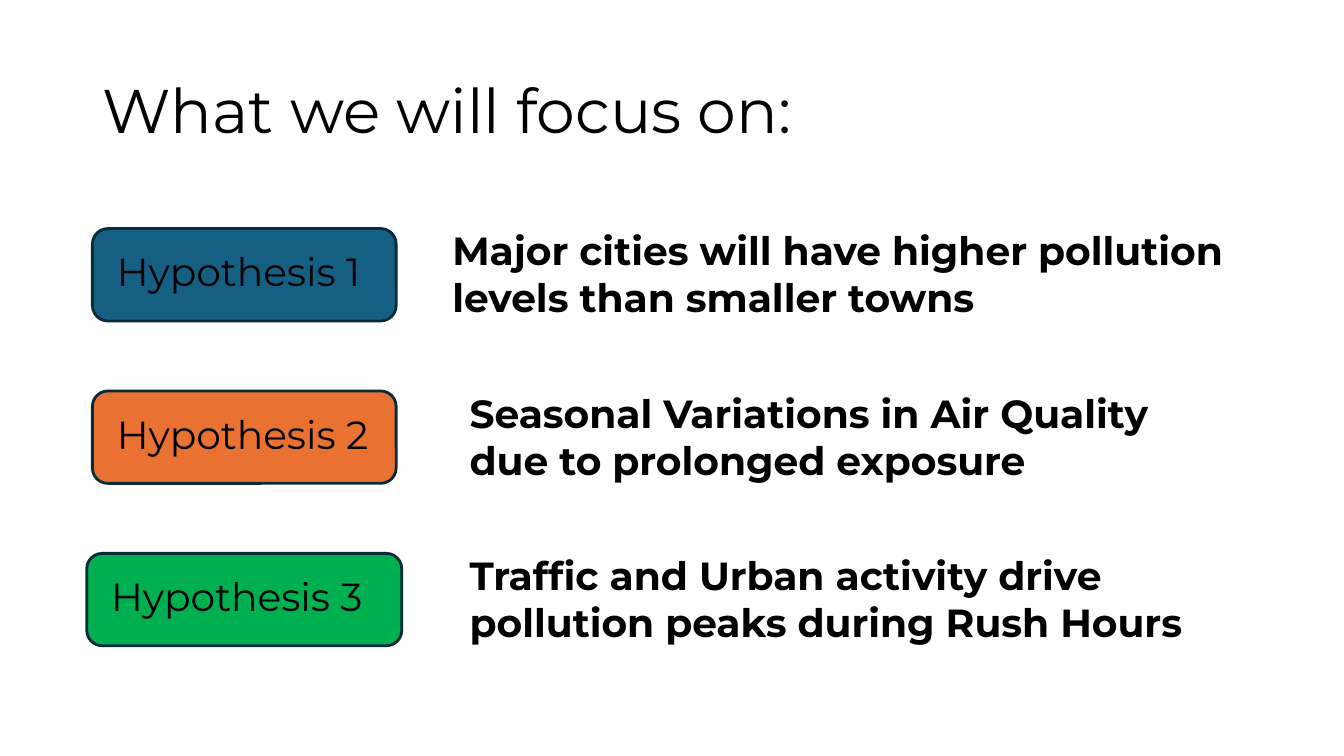
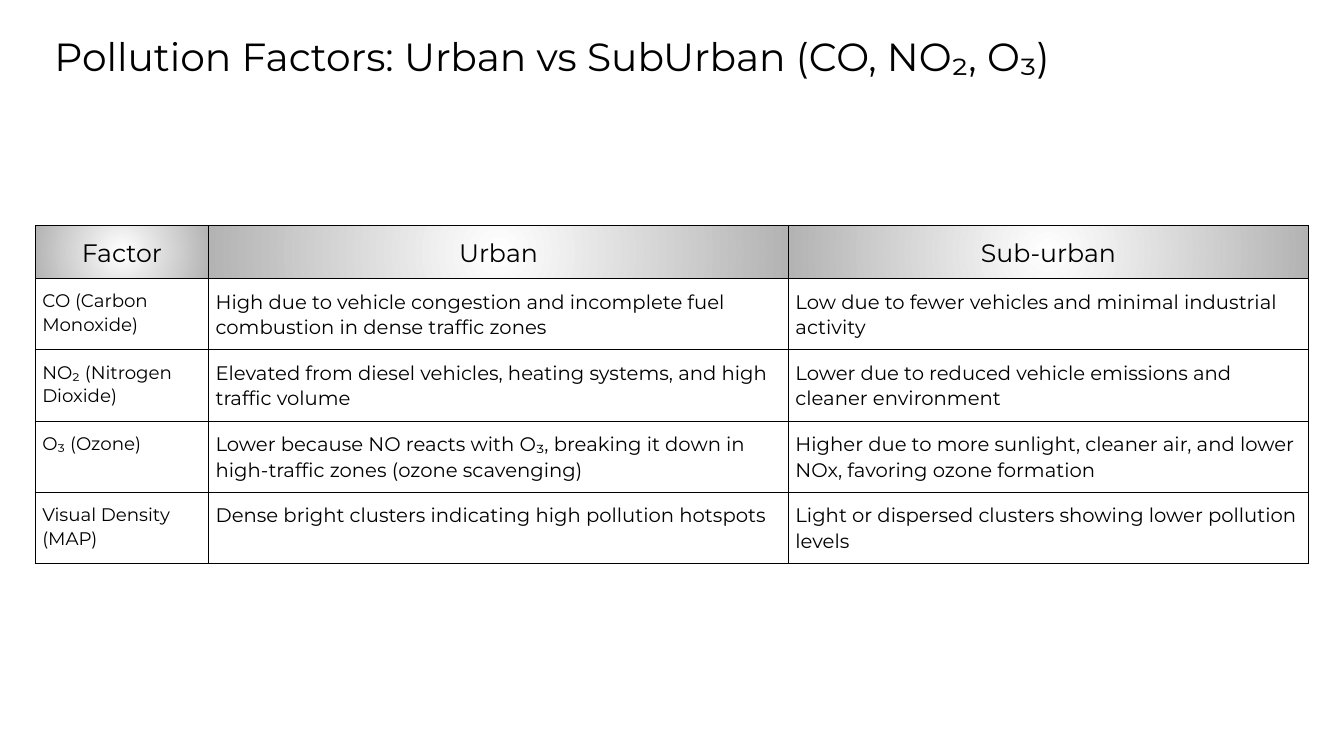
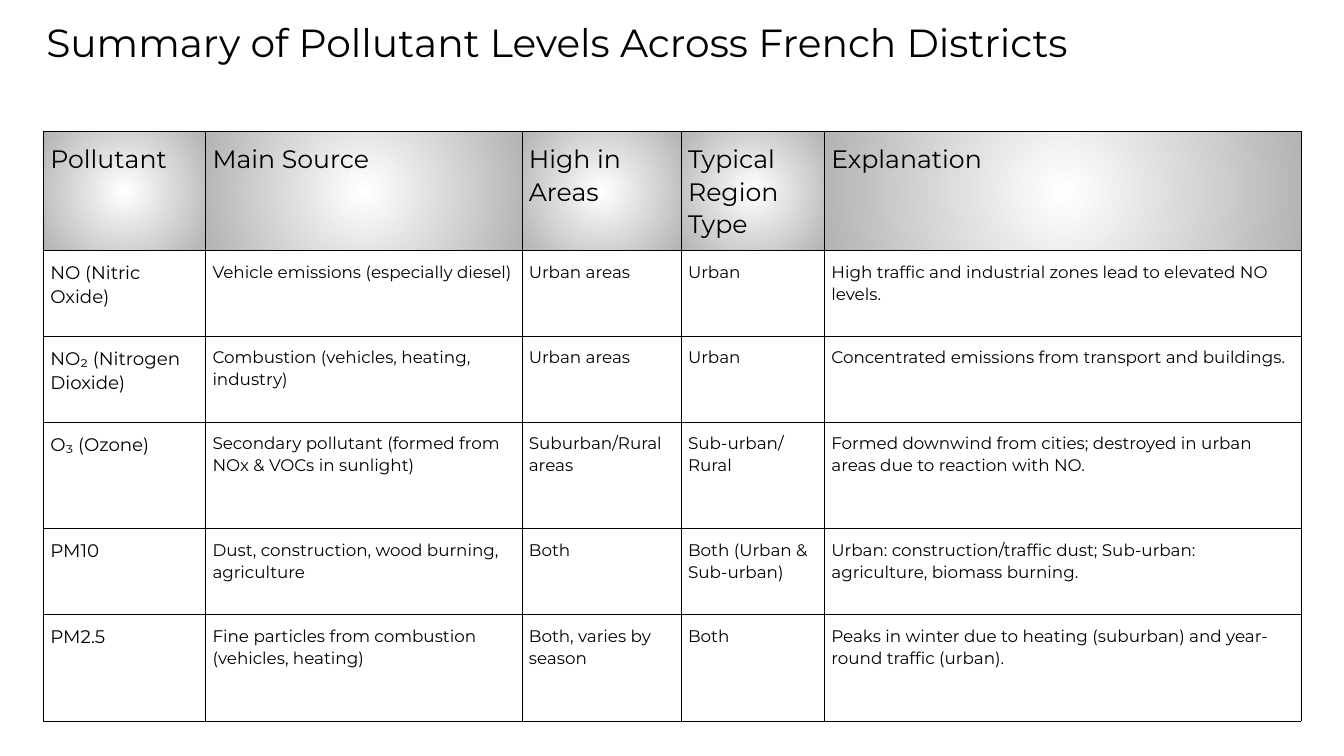
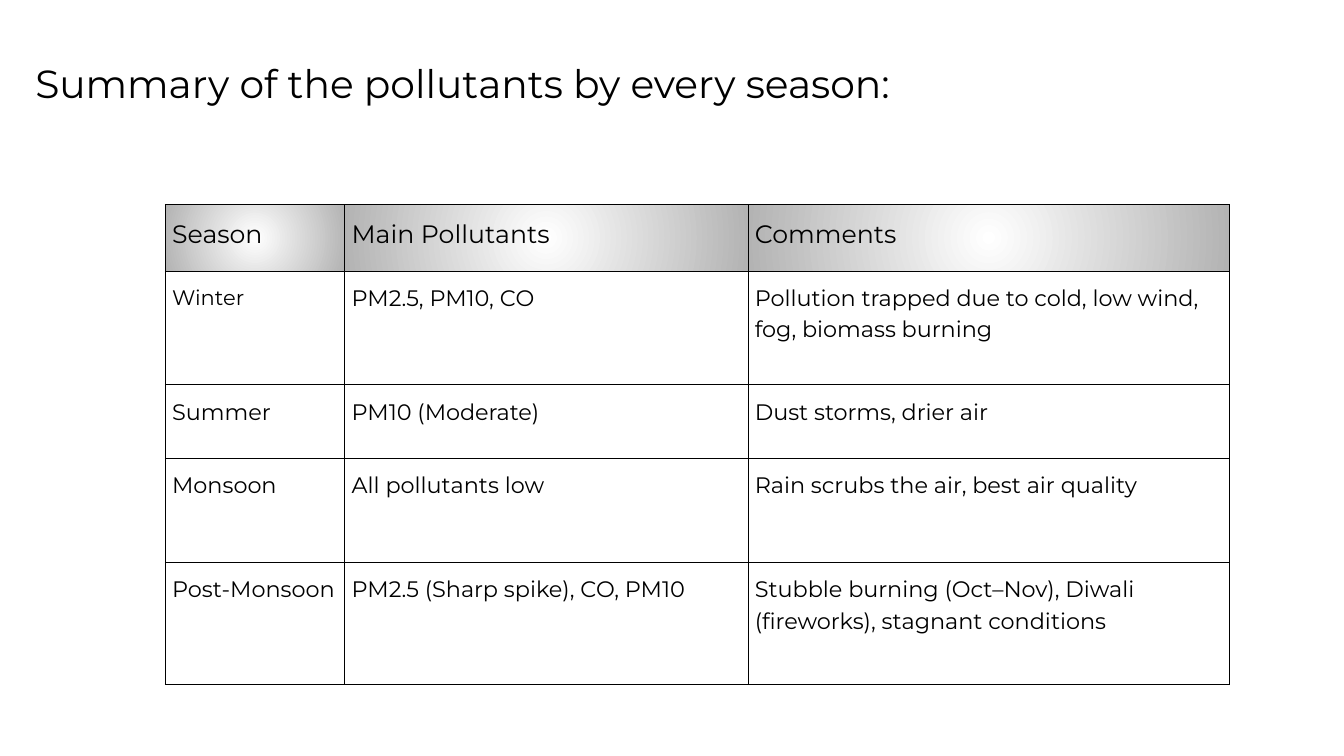
from pptx import Presentation
from pptx.dml.color import RGBColor
from pptx.enum.shapes import MSO_SHAPE
from pptx.enum.text import MSO_ANCHOR, MSO_AUTO_SIZE, PP_ALIGN
from pptx.oxml import parse_xml
from pptx.oxml.ns import nsdecls
from pptx.util import Pt

ROUNDED = MSO_SHAPE.ROUNDED_RECTANGLE
TOP, MIDDLE = MSO_ANCHOR.TOP, MSO_ANCHOR.MIDDLE
LEFT, CENTER = PP_ALIGN.LEFT, PP_ALIGN.CENTER
NO_AUTOFIT = MSO_AUTO_SIZE.NONE

FONT = "Montserrat"
COLORS = {
    "text": "000000",
    "outline": "092A39",
    "blue": "156082",
    "orange": "E97132",
    "green": "00B050",
    "header_center": "FFFFFF",
    "header_edge": "B3B3B3",
}

BORDERS = [
    f'<a:{side} {nsdecls("a")} w="7620"><a:solidFill>'
    f'<a:srgbClr val="{COLORS["text"]}"/></a:solidFill></a:{side}>'
    for side in ("lnL", "lnR", "lnT", "lnB")
]
HEADER_GRADIENT = (
    f'<a:gradFill {nsdecls("a")} rotWithShape="1"><a:gsLst>'
    f'<a:gs pos="0"><a:srgbClr val="{COLORS["header_center"]}"/></a:gs>'
    f'<a:gs pos="100000"><a:srgbClr val="{COLORS["header_edge"]}"/></a:gs>'
    '</a:gsLst><a:path path="circle">'
    '<a:fillToRect l="50000" t="50000" r="50000" b="50000"/></a:path></a:gradFill>'
)

prs = Presentation()
prs.slide_width, prs.slide_height = Pt(960), Pt(540)
title_only = prs.slide_layouts[5]


def write(frame, text, size, bold=False, align=LEFT, spacing=1.0):
    """Fill a text frame with one paragraph in the deck's font."""
    frame.word_wrap = True
    paragraph = frame.paragraphs[0]
    paragraph.text = text
    paragraph.alignment = align
    paragraph.line_spacing = spacing
    font = paragraph.font
    font.name, font.size, font.bold = FONT, Pt(size), bold
    font.color.rgb = RGBColor.from_string(COLORS["text"])


def add_grid(slide, left, top, widths, heights, rows, label_size, body_size,
             spacing, header_align=LEFT):
    """Add a ruled table with a shaded header row and a label column."""
    table = slide.shapes.add_table(
        len(rows), len(widths), Pt(left), Pt(top),
        Pt(sum(widths)), Pt(sum(heights))).table
    table.horz_banding = False
    for column, width in zip(table.columns, widths):
        column.width = Pt(width)
    for r, (row, height) in enumerate(zip(rows, heights)):
        table.rows[r].height = Pt(height)
        for c, text in enumerate(row):
            cell = table.cell(r, c)
            cell.margin_left = cell.margin_right = Pt(5)
            cell.margin_top = cell.margin_bottom = Pt(7.2)
            properties = cell._tc.get_or_add_tcPr()
            for border in BORDERS:
                properties.append(parse_xml(border))
            if r == 0:
                properties.append(parse_xml(HEADER_GRADIENT))
                size, align = 18, header_align
            else:
                cell.fill.background()
                size, align = (label_size if c == 0 else body_size), LEFT
            write(cell.text_frame, text, size, align=align, spacing=spacing)
    return table


# Titles: text, left, top, width, height, size, anchor, line spacing
titles = [
    ("What we will focus on:", 66, 28.8, 828, 104.4, 44, MIDDLE, 0.9),
    ("Pollution Factors: Urban vs SubUrban (CO, NO₂, O₃)",
     31.7, 0, 793, 79.2, 28, MIDDLE, 1.0),
    ("Summary of Pollutant Levels Across French Districts",
     25.9, 0, 877, 64, 28, MIDDLE, 0.9),
    ("Summary of the pollutants by every season:",
     18, 38.9, 924, 68, 28, TOP, 1.0),
]
slides = []
for text, left, top, width, height, size, anchor, spacing in titles:
    slide = prs.slides.add_slide(title_only)
    title = slide.shapes.title
    title.left, title.top = Pt(left), Pt(top)
    title.width, title.height = Pt(width), Pt(height)
    title.text_frame.auto_size = NO_AUTOFIT
    title.text_frame.vertical_anchor = anchor
    write(title.text_frame, text, size, spacing=spacing)
    slides.append(slide)
focus, factors, districts, seasons = slides

# Hypotheses: colour, label left and width, statement left and width, statement
hypotheses = [
    ("blue", 66, 217, 316, 608,
     "Major cities will have higher pollution levels than smaller towns"),
    ("orange", 66, 217, 328.4, 555,
     "Seasonal Variations in Air Quality due to prolonged exposure"),
    ("green", 62, 225, 328.4, 544,
     "Traffic and Urban activity drive pollution peaks during Rush Hours"),
]
for i, (color, left, width, statement_left, statement_width, text) in enumerate(hypotheses):
    top = 163.3 + 116 * i
    label = focus.shapes.add_shape(ROUNDED, Pt(left), Pt(top), Pt(width), Pt(66))
    label.shadow.inherit = False
    label.fill.solid()
    label.fill.fore_color.rgb = RGBColor.from_string(COLORS[color])
    label.line.color.rgb = RGBColor.from_string(COLORS["outline"])
    label.line.width = Pt(2)
    label.text_frame.vertical_anchor = TOP
    label.text_frame.margin_left = Pt(14.2)
    label.text_frame.margin_top = Pt(10.5)
    write(label.text_frame, f"Hypothesis {i + 1}", 28)

    statement = focus.shapes.add_textbox(
        Pt(statement_left), Pt(top - 4.9), Pt(statement_width), Pt(75))
    write(statement.text_frame, text, 28, bold=True)

add_grid(
    factors, 25.2, 161, [123.8, 414.2, 371.5], [37.9] + [50.9] * 4,
    [
        ("Factor", "Urban", "Sub-urban"),
        ("CO (Carbon Monoxide)",
         "High due to vehicle congestion and incomplete fuel combustion in dense traffic zones",
         "Low due to fewer vehicles and minimal industrial activity"),
        ("NO₂ (Nitrogen Dioxide)",
         "Elevated from diesel vehicles, heating systems, and high traffic volume",
         "Lower due to reduced vehicle emissions and cleaner environment"),
        ("O₃ (Ozone)",
         "Lower because NO reacts with O₃, breaking it down in high-traffic zones (ozone scavenging)",
         "Higher due to more sunlight, cleaner air, and lower NOx, favoring ozone formation"),
        ("Visual Density (MAP)",
         "Dense bright clusters indicating high pollution hotspots",
         "Light or dispersed clusters showing lower pollution levels"),
    ],
    label_size=13, body_size=14, spacing=1.07, header_align=CENTER)

add_grid(
    districts, 31, 94, [115.8, 226, 113.7, 102.4, 340.4],
    [84.9, 61.2, 61.2, 76.3, 61.2, 76.3],
    [
        ("Pollutant", "Main Source", "High in Areas", "Typical Region Type",
         "Explanation"),
        ("NO (Nitric Oxide)", "Vehicle emissions (especially diesel)",
         "Urban areas", "Urban",
         "High traffic and industrial zones lead to elevated NO levels."),
        ("NO₂ (Nitrogen Dioxide)", "Combustion (vehicles, heating, industry)",
         "Urban areas", "Urban",
         "Concentrated emissions from transport and buildings."),
        ("O₃ (Ozone)", "Secondary pollutant (formed from NOx & VOCs in sunlight)",
         "Suburban/Rural areas", "Sub-urban/Rural",
         "Formed downwind from cities; destroyed in urban areas due to reaction with NO."),
        ("PM10", "Dust, construction, wood burning, agriculture",
         "Both", "Both (Urban & Sub-urban)",
         "Urban: construction/traffic dust; Sub-urban: agriculture, biomass burning."),
        ("PM2.5", "Fine particles from combustion (vehicles, heating)",
         "Both, varies by season", "Both",
         "Peaks in winter due to heating (suburban) and year-round traffic (urban)."),
    ],
    label_size=13, body_size=12, spacing=1.07)

season_table = add_grid(
    seasons, 118, 146.2, [128.2, 288, 344.2], [47.3, 81.4, 52.4, 74.2, 87.1],
    [
        ("Season", "Main Pollutants", "Comments"),
        ("Winter", "PM2.5, PM10, CO",
         "Pollution trapped due to cold, low wind, fog, biomass burning"),
        ("Summer", "PM10 (Moderate)", "Dust storms, drier air"),
        ("Monsoon", "All pollutants low", "Rain scrubs the air, best air quality"),
        ("Post-Monsoon", "PM2.5 (Sharp spike), CO, PM10",
         "Stubble burning (Oct–Nov), Diwali (fireworks), stagnant conditions"),
    ],
    label_size=16, body_size=16, spacing=1.15)
# Winter is set slightly smaller than the other seasons
season_table.cell(1, 0).text_frame.paragraphs[0].font.size = Pt(15)

prs.save("out.pptx")
